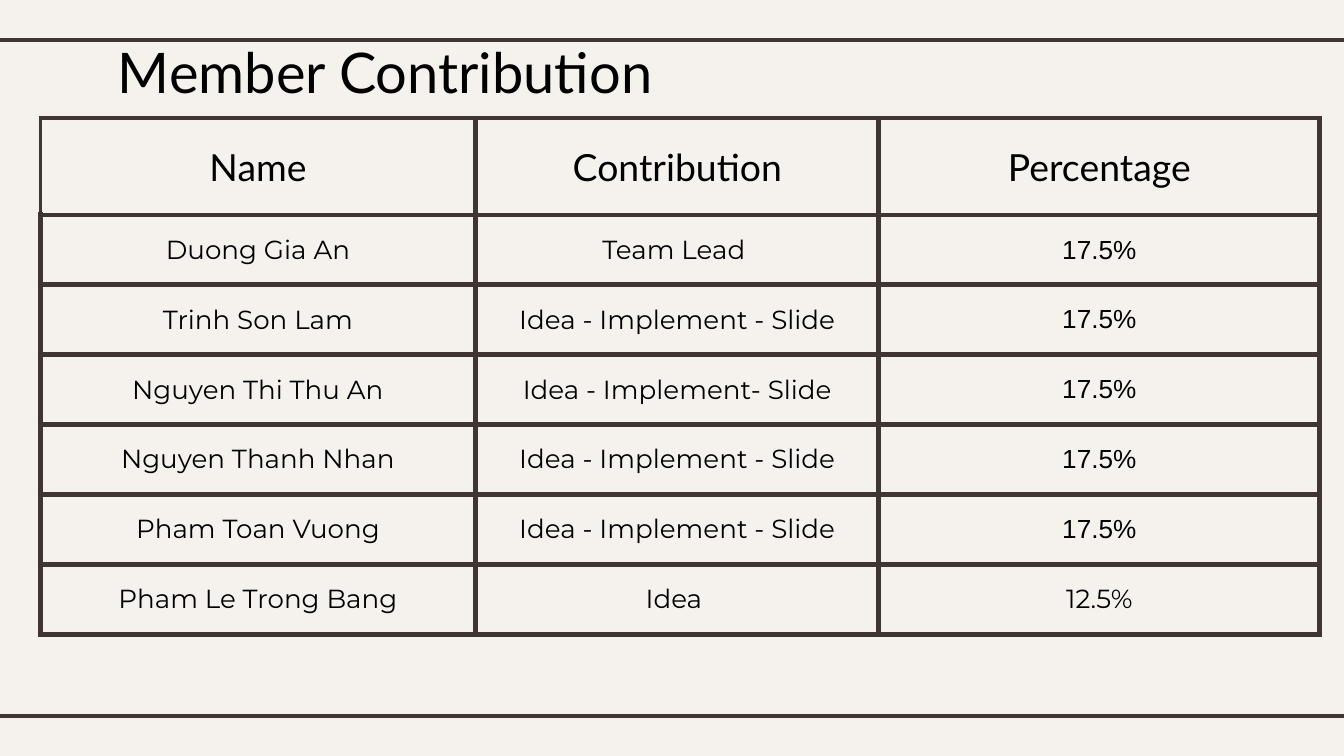
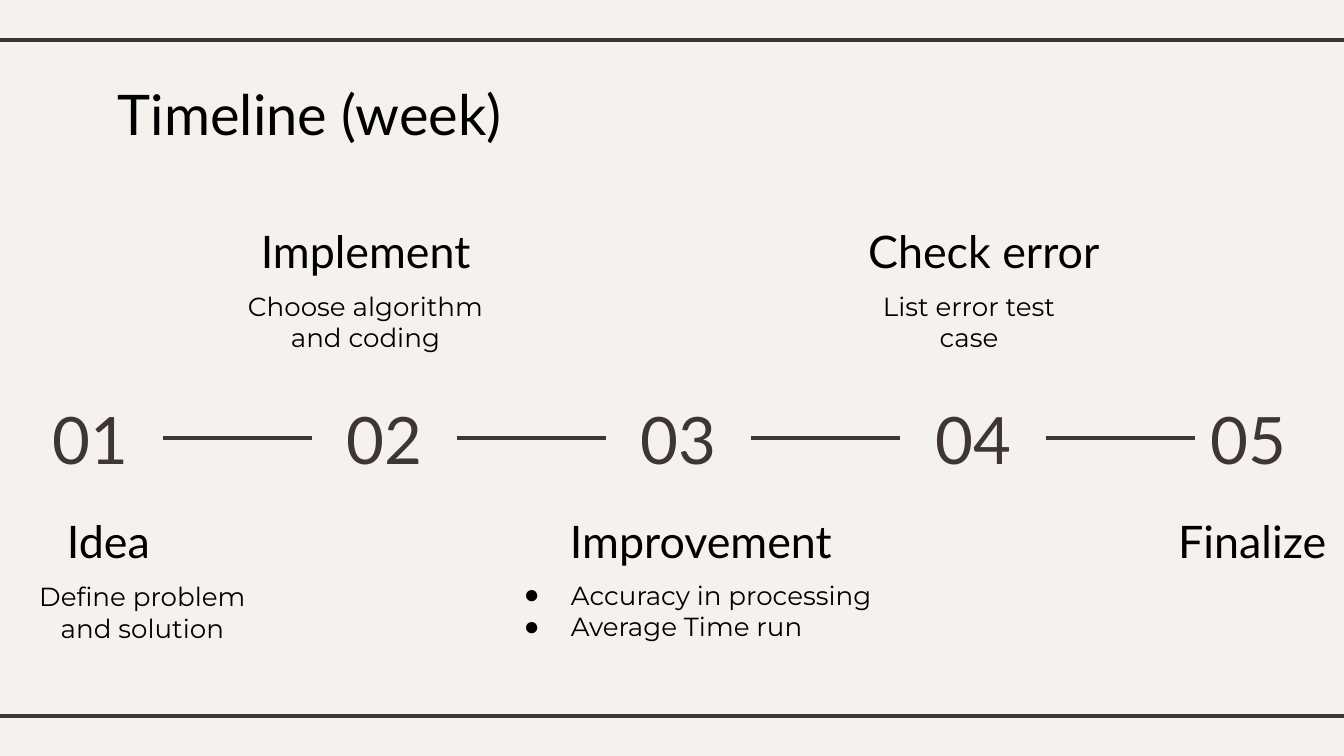
from pptx import Presentation
from pptx import util as u
from pptx.dml.color import RGBColor
from pptx.enum import shapes, text
from pptx.oxml.ns import qn
from lxml import etree

Inches = u.Inches
COLORS = {"background": "F5F2EE", "line": "3F3533", "text": "000000"}
HEADING, BODY, FIGURES = "Lato", "Montserrat", "Arial"
CENTER, LEFT = text.PP_ALIGN.CENTER, text.PP_ALIGN.LEFT
TOP, MIDDLE = text.MSO_ANCHOR.TOP, text.MSO_ANCHOR.MIDDLE

SLIDE_WIDTH = 10
SLIDE_HEIGHT = SLIDE_WIDTH * 9 / 16
INSET = 0.1
RULE_WEIGHT, GRID_WEIGHT = 2.25, 3

COLUMN_WIDTHS = (3.24, 3, 3.28)
HEADER_HEIGHT, ROW_HEIGHT = 0.72, 0.52
HEADERS = ("Name", "Contribution", "Percentage")
MEMBERS = (
    ("Duong Gia An", "Team Lead ", "17.5%"),
    ("Trinh Son Lam", "Idea - Implement - Slide", "17.5%"),
    ("Nguyen Thi Thu An", "Idea - Implement- Slide", "17.5%"),
    ("Nguyen Thanh Nhan", "Idea - Implement - Slide", "17.5%"),
    ("Pham Toan Vuong", "Idea - Implement - Slide", "17.5%"),
    ("Pham Le Trong Bang", "Idea ", "12.5%"),
)


def rgb(name):
    return RGBColor.from_string(COLORS[name])


def style_paragraph(paragraph, size, font_name, color="text", align=CENTER):
    paragraph.alignment = align
    for run in paragraph.runs:
        run.font.size = u.Pt(size)
        run.font.name = font_name
        run.font.color.rgb = rgb(color)


def indent(paragraph, left, first=0.0):
    properties = paragraph._p.get_or_add_pPr()
    properties.set("marL", str(Inches(left)))
    properties.set("indent", str(Inches(first)))
    return properties


def add_bullet(paragraph):
    properties = indent(paragraph, 0.5, -0.35)
    bullet_color = etree.SubElement(properties, qn("a:buClr"))
    etree.SubElement(bullet_color, qn("a:srgbClr"), val=COLORS["text"])
    etree.SubElement(properties, qn("a:buFont"), typeface=FIGURES)
    etree.SubElement(properties, qn("a:buChar"), char="●")


def add_text(slide, box, content, size, font_name, color="text",
             align=CENTER, anchor=TOP, bullets=False):
    """Add a text box with one paragraph for each line of content."""
    frame = slide.shapes.add_textbox(*map(Inches, box)).text_frame
    frame.word_wrap = True
    frame.vertical_anchor = anchor
    frame.margin_left = frame.margin_right = Inches(INSET)
    frame.margin_top = frame.margin_bottom = Inches(INSET)
    frame.text = content
    for paragraph in frame.paragraphs:
        if bullets:
            add_bullet(paragraph)
        style_paragraph(paragraph, size, font_name, color, align)
    return frame


def add_rule(slide, start, end, y):
    rule = slide.shapes.add_connector(
        shapes.MSO_CONNECTOR.STRAIGHT, *map(Inches, (start, y, end, y)))
    rule.line.color.rgb = rgb("line")
    rule.line.width = u.Pt(RULE_WEIGHT)
    etree.SubElement(rule._element.spPr, qn("a:effectLst"))


def add_framed_slide(presentation, title, title_top):
    """Add a slide with the shared background, edge rules and title."""
    slide = presentation.slides.add_slide(presentation.slide_layouts[6])
    slide.background.fill.solid()
    slide.background.fill.fore_color.rgb = rgb("background")
    for y in (0.3, 5.33):
        add_rule(slide, -0.08, SLIDE_WIDTH + 0.08, y)
    add_text(slide, (0.78, title_top, 8.44, 0.63), title, 30, HEADING,
             align=LEFT)
    return slide


def set_borders(cell, weights):
    """Draw the left, right, top and bottom borders, in that order."""
    properties = cell._tc.get_or_add_tcPr()
    for position, (side, weight) in enumerate(zip("LRTB", weights)):
        border = etree.Element(qn("a:ln" + side), w=str(u.Pt(weight)))
        fill = etree.SubElement(border, qn("a:solidFill"))
        etree.SubElement(fill, qn("a:srgbClr"), val=COLORS["line"])
        properties.insert(position, border)


def fill_cell(cell, content, size, font_name, weights, filled):
    cell.text = content
    cell.vertical_anchor = MIDDLE
    cell.margin_left = cell.margin_right = Inches(INSET)
    cell.margin_top = cell.margin_bottom = Inches(INSET)
    style_paragraph(cell.text_frame.paragraphs[0], size, font_name)
    if filled:
        cell.fill.solid()
        cell.fill.fore_color.rgb = rgb("background")
    else:
        cell.fill.background()
    set_borders(cell, weights)


def add_member_table(slide, left, top):
    height = HEADER_HEIGHT + ROW_HEIGHT * len(MEMBERS)
    table = slide.shapes.add_table(
        len(MEMBERS) + 1, len(HEADERS),
        *map(Inches, (left, top, sum(COLUMN_WIDTHS), height))).table
    table.first_row = table.horz_banding = False
    for column, width in zip(table.columns, COLUMN_WIDTHS):
        column.width = Inches(width)
    for row in table.rows:
        row.height = Inches(ROW_HEIGHT)
    table.rows[0].height = Inches(HEADER_HEIGHT)

    for column, header in enumerate(HEADERS):
        left_weight = GRID_WEIGHT if column else RULE_WEIGHT
        fill_cell(table.cell(0, column), header, 20, HEADING,
                  (left_weight, GRID_WEIGHT, RULE_WEIGHT, GRID_WEIGHT), False)
    for row, member in enumerate(MEMBERS, 1):
        for column, content in enumerate(member):
            font_name = FIGURES if content == "17.5%" else BODY
            fill_cell(table.cell(row, column), content, 14, font_name,
                      (GRID_WEIGHT,) * 4, True)


def add_week_numbers(slide, left, top):
    """Place the week numbers in a row, with a rule between neighbours."""
    pitch, width, height = 2.19, 1.08, 0.73
    for week in range(4):
        x = left + week * pitch
        add_text(slide, (x, top, width, height), f"0{week + 1}", 35, HEADING,
                 "line", anchor=MIDDLE)
        add_rule(slide, x + width, x + pitch, top + 0.36)
    add_text(slide, (7.65, top - 0.03, 3.28, 0.79), "05", 35, HEADING, "line")


def add_step_heading(slide, left, top, width, heading, align=CENTER):
    return add_text(slide, (left, top, width, 0.39), heading, 24, HEADING,
                    align=align, anchor=MIDDLE)


def add_step_detail(slide, left, top, width, detail, **options):
    add_text(slide, (left, top, width, 0.63), detail, 14, BODY, **options)


def build_contribution_slide(presentation):
    slide = add_framed_slide(presentation, "Member Contribution", 0.18)
    add_member_table(slide, 0.3, 0.88)


def build_timeline_slide(presentation):
    slide = add_framed_slide(presentation, "Timeline (week)", 0.49)
    add_week_numbers(slide, 0.13, 2.9)

    upper, lower, detail_gap = 1.67, 3.83, 0.39
    idea = add_step_heading(slide, -0.11, lower, 1.88, "Idea", LEFT)
    indent(idea.paragraphs[0], 0.51)
    add_step_heading(slide, 1.78, upper, 1.88, "Implement")
    add_step_heading(slide, 4.08, lower, 2.27, "Improvement")
    add_step_heading(slide, 6.27, upper, 2.1, "Check error")
    add_step_heading(slide, 8.42, lower, 1.88, "Finalize ")

    add_step_detail(slide, 0.12, lower + detail_gap, 1.88,
                    "Define problem and solution")
    add_step_detail(slide, 1.54, upper + detail_gap, 2.36,
                    "Choose algorithm and coding")
    add_step_detail(slide, 3.65, lower + detail_gap - 0.01, 3.61,
                    "Accuracy in processing\nAverage Time run",
                    align=LEFT, bullets=True)
    add_step_detail(slide, 6.27, upper + detail_gap, 1.88,
                    "List error test case")


def main():
    presentation = Presentation()
    presentation.slide_width = Inches(SLIDE_WIDTH)
    presentation.slide_height = Inches(SLIDE_HEIGHT)
    build_contribution_slide(presentation)
    build_timeline_slide(presentation)
    presentation.save("out.pptx")


if __name__ == "__main__":
    main()
